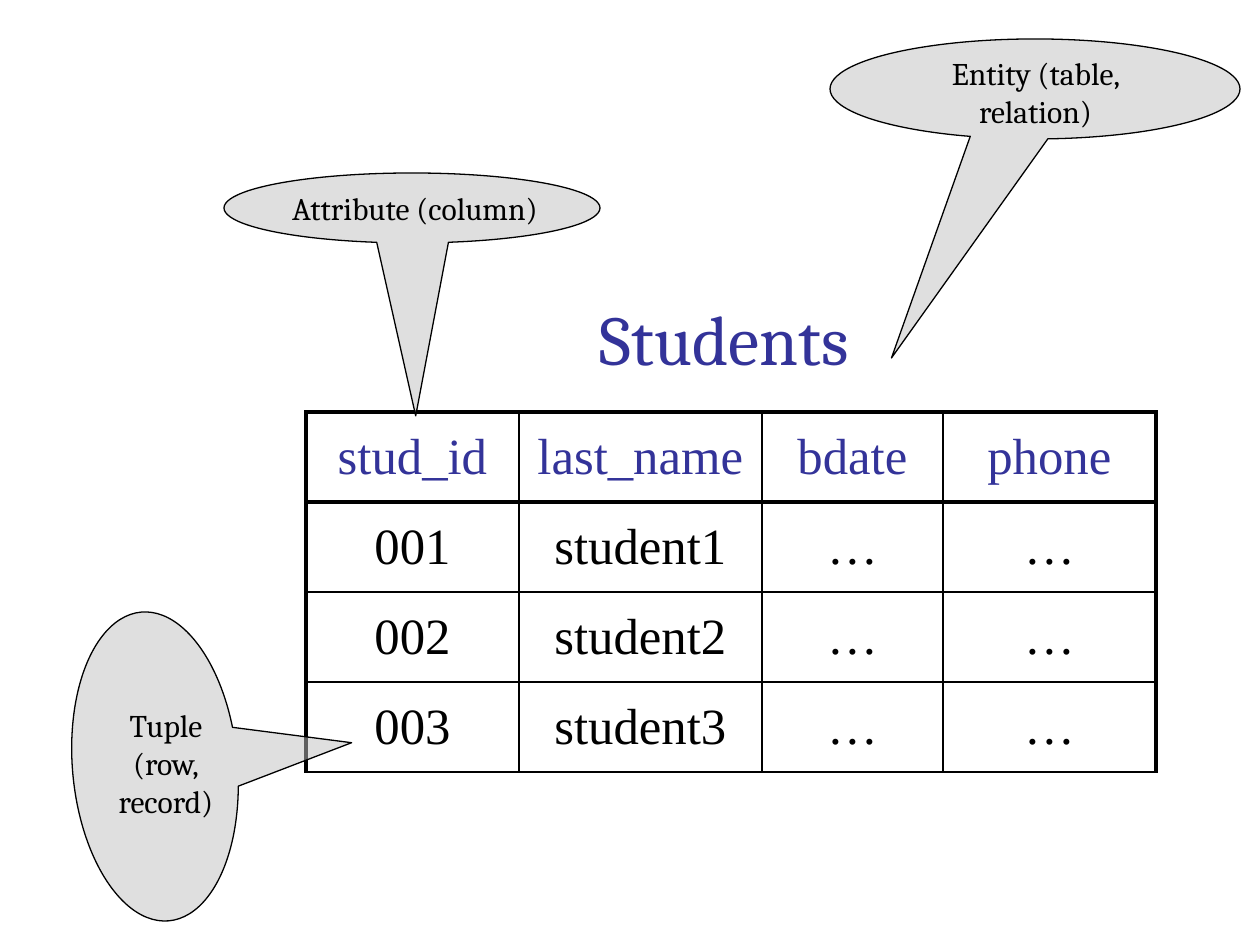
import pptx
import pptx.util
import pptx.dml.color
import pptx.enum.shapes
import pptx.enum.text
import pptx.oxml.ns
import lxml.etree
from dataclasses import dataclass

SCALE = 914400 / 126
ALIGN = pptx.enum.text.PP_ALIGN
ANCHOR = pptx.enum.text.MSO_ANCHOR
FIT = pptx.enum.text.MSO_AUTO_SIZE


def px(*sizes):
    """Turn pixels into EMU."""
    return [pptx.util.Emu(round(size * SCALE)) for size in sizes]


def rgb(code):
    """Turn a hex code into a colour."""
    return pptx.dml.color.RGBColor.from_string(code)


def apply(item, values):
    """Set each attribute named in a dict."""
    for name, value in values.items():
        setattr(item, name, value)


def child(parent, tag, **attrs):
    """Add an XML child in the drawing namespace."""
    node = lxml.etree.SubElement(parent, pptx.oxml.ns.qn(tag))
    for name, value in attrs.items():
        node.set(name, str(value))
    return node


@dataclass
class Theme:
    """Colours, fonts and type sizes."""
    ink: str = "000000"
    accent: str = "333399"
    bubble: str = "C0C0C0"
    alpha: int = 50000
    serif: str = "Cambria"
    grid: str = "Times New Roman"
    title: int = 40
    cell: int = 29
    label: int = 18
    thin: float = 1
    thick: float = 2.25
    edge: float = 0.75


class Canvas:
    """Draws styled elements on one slide."""

    def __init__(self, slide, theme):
        """Keep the slide and its theme."""
        self.slide = slide
        self.theme = theme

    def letter(self, frame, lines, size, face, color, **para):
        """Fill a text frame with one paragraph per line."""
        for index, line in enumerate(lines):
            item = frame.paragraphs[0] if index == 0 else frame.add_paragraph()
            apply(item, para)
            run = item.add_run()
            run.text = line
            apply(run.font, {"size": pptx.util.Pt(size), "name": face, "bold": False})
            run.font.color.rgb = rgb(color)

    def frame(self, frame, **more):
        """Wrap a frame and take away its margins."""
        sides = ("left", "right", "top", "bottom")
        apply(frame, {f"margin_{side}": 0 for side in sides})
        apply(frame, {"word_wrap": True, "vertical_anchor": ANCHOR.TOP, **more})

    def title(self, text, box):
        """Place the title."""
        holder = self.slide.shapes.title
        apply(holder, dict(zip(("left", "top", "width", "height"), px(*box))))
        self.frame(holder.text_frame, auto_size=FIT.SHAPE_TO_FIT_TEXT)
        look = self.theme
        self.letter(holder.text_frame, [text], look.title, look.serif, look.accent,
                    alignment=ALIGN.LEFT)

    def callout(self, lines, box, tip, area, turn=0):
        """Group a see-through bubble with its label."""
        look = self.theme
        group = self.slide.shapes.add_group_shape()
        kind = pptx.enum.shapes.MSO_SHAPE.OVAL_CALLOUT
        bubble = group.shapes.add_shape(kind, *px(*box))
        for index, value in enumerate(tip):
            bubble.adjustments[index] = value
        bubble.rotation = turn
        bubble.shadow.inherit = False
        bubble.fill.solid()
        bubble.fill.fore_color.rgb = rgb(look.bubble)
        tint = bubble._element.spPr.find(".//" + pptx.oxml.ns.qn("a:srgbClr"))
        child(tint, "a:alpha", val=look.alpha)
        bubble.line.color.rgb = rgb(look.ink)
        bubble.line.width = pptx.util.Pt(look.edge)
        label = group.shapes.add_textbox(*px(*area)).text_frame
        self.frame(label)
        self.letter(label, lines, look.label, look.serif, look.ink,
                    alignment=ALIGN.CENTER)

    def border(self, cell, widths):
        """Draw the cell edges, given as side and width."""
        props = cell._tc.get_or_add_tcPr()
        for side, width in widths.items():
            line = child(props, f"a:ln{side}", w=pptx.util.Pt(width))
            child(child(line, "a:solidFill"), "a:srgbClr", val=self.theme.ink)

    def table(self, rows, spot, widths, height):
        """Build a ruled table with a heavy frame and header rule."""
        look = self.theme
        size = sum(widths), height * len(rows)
        table = self.slide.shapes.add_table(
            len(rows), len(widths), *px(*spot, *size)).table
        apply(table, {"first_row": False, "horz_banding": False})
        for column, width in zip(table.columns, px(*widths)):
            column.width = width
        last = len(widths) - 1
        for r, row in enumerate(rows):
            table.rows[r].height = px(height)[0]
            for c, text in enumerate(row):
                cell = table.cell(r, c)
                heavy = {"L": c == 0, "R": c == last, "T": r < 2, "B": r == 0}
                self.border(cell, {side: look.thick if bold else look.thin
                                   for side, bold in heavy.items()})
                cell.fill.background()
                inset = px(6)[0]
                apply(cell, {"margin_left": inset, "margin_right": inset,
                             "margin_top": inset, "margin_bottom": inset,
                             "vertical_anchor": ANCHOR.MIDDLE})
                gap = 6 if r == 0 or c == 0 else 4
                self.letter(cell.text_frame, [text], look.cell, look.grid,
                            look.ink if r else look.accent,
                            alignment=ALIGN.CENTER,
                            space_before=pptx.util.Pt(gap))


def main():
    """Build and save the slide."""
    deck = pptx.Presentation()
    deck.slide_width, deck.slide_height = px(1260, 945)
    canvas = Canvas(deck.slides.add_slide(deck.slide_layouts[5]), Theme())
    rows = [["stud_id", "last_name", "bdate", "phone"]]
    rows += [[f"{n:03}", f"student{n}", "…", "…"] for n in range(1, 4)]
    canvas.table(rows, (306, 412), (213, 243, 181, 213), 90)
    canvas.title("Students", (600, 296, 353, 106))
    canvas.callout(["Attribute (column)"], (224, 173, 376, 70), (0.01, 2.97),
                   (282, 189, 266, 54))
    canvas.callout(["Entity (table, relation)"], (830, 39, 410, 100), (-0.35, 2.69),
                   (892, 54, 287, 77))
    canvas.callout(["Tuple", "(row,", "record)"], (0, 684, 310, 165), (-0.02, -1.2),
                   (59, 706, 214, 134), turn=84.9)
    deck.save("out.pptx")


main()
